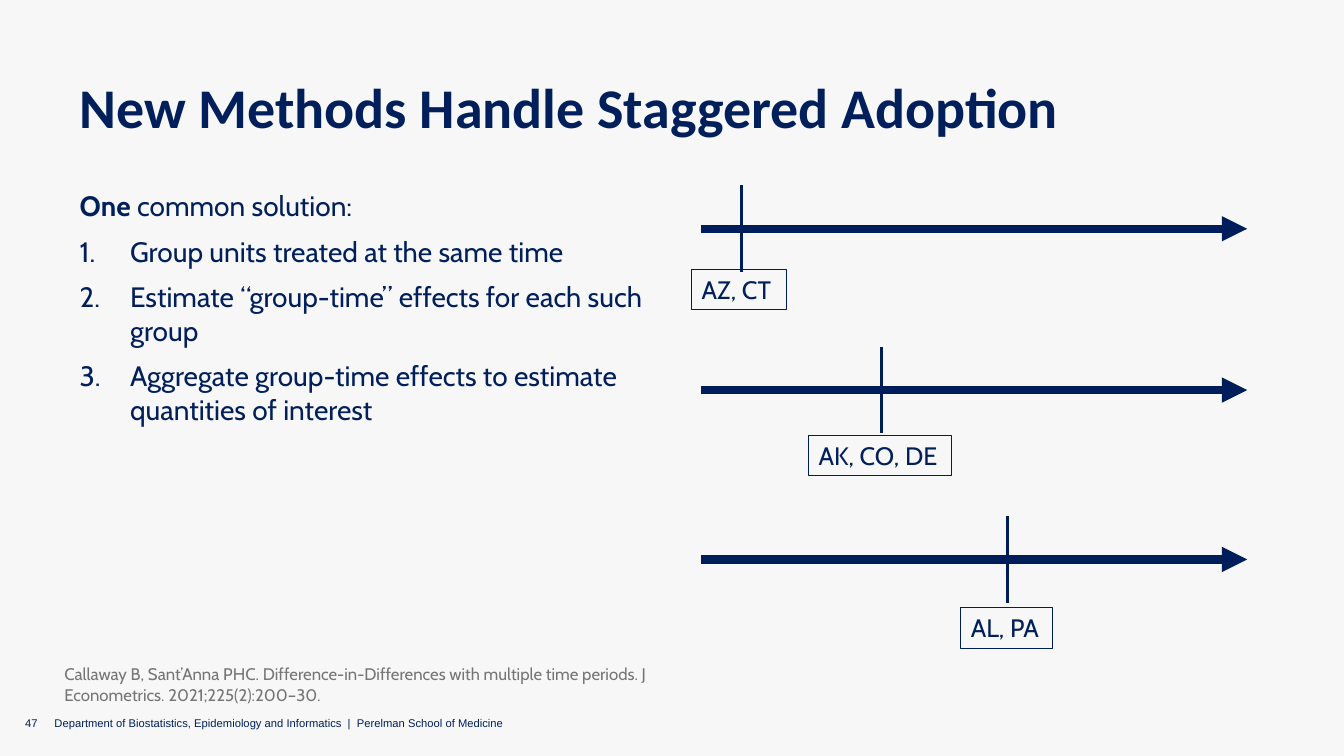
"""Build the slide on staggered adoption with three treatment timelines."""
from dataclasses import dataclass

from lxml.etree import SubElement
from pptx import Presentation
from pptx.dml.color import RGBColor
from pptx.enum.shapes import MSO_CONNECTOR, MSO_SHAPE
from pptx.enum.text import MSO_ANCHOR, MSO_AUTO_SIZE, PP_ALIGN
from pptx.oxml.ns import qn
from pptx.util import Inches, Pt

TITLE = "New Methods Handle Staggered Adoption"
LEAD = ("One", " common solution:")
STEPS = [
    "Group units treated at the same time",
    "Estimate “group-time” effects for each such group",
    "Aggregate group-time effects to estimate quantities of interest",
]
CITATION = (
    "Callaway B, Sant’Anna PHC. Difference-in-Differences with multiple time periods. "
    "J Econometrics. 2021;225(2):200–30."
)
PAGE_NUMBER = "47"
FOOTER = "Department of Biostatistics, Epidemiology and Informatics  |  Perelman School of Medicine"

# label, axis height, treatment time, label left, top and width
TIMELINES = [
    ("AZ, CT", 2.27, 7.35, 6.86, 2.67, 0.94),
    ("AK, CO, DE", 3.87, 8.74, 8.02, 4.32, 1.42),
    ("AL, PA", 5.55, 9.99, 9.53, 6.03, 0.91),
]
AXIS_START, AXIS_END = 6.95, 12.37
TICK_HALF = 0.43
LABEL_HEIGHT = 0.4


@dataclass(frozen=True)
class Theme:
    background: RGBColor = RGBColor.from_string("F7F7F7")
    navy: RGBColor = RGBColor.from_string("011F5B")
    line: RGBColor = RGBColor.from_string("001D5B")
    gray: RGBColor = RGBColor.from_string("757575")
    title_font: str = "Calibri"
    body_font: str = "Cabin"
    footer_font: str = "Arial"
    title_size: int = 40
    body_size: int = 20
    label_size: int = 18
    citation_size: int = 12
    footer_size: int = 8


THEME = Theme()


def style(paragraph, name, size, color=THEME.navy, bold=None):
    font = paragraph.font
    font.name, font.size, font.bold = name, Pt(size), bold
    font.color.rgb = color


def add_text(slide, box, text="", inset=True, anchor=MSO_ANCHOR.TOP):
    frame = slide.shapes.add_textbox(*map(Inches, box)).text_frame
    frame.word_wrap = True
    frame.vertical_anchor = anchor
    if not inset:
        frame.margin_left = frame.margin_right = frame.margin_top = frame.margin_bottom = 0
    frame.text = text
    return frame


def add_body(slide):
    frame = add_text(slide, (0.79, 1.87, 5.68, 4.84), inset=False)
    lead = frame.paragraphs[0]
    for text, bold in zip(LEAD, (True, False)):
        run = lead.add_run()
        run.text, run.font.bold = text, bold
    for step in STEPS:
        paragraph = frame.add_paragraph()
        paragraph.text = step
        paragraph.space_before = Pt(2.5)
        properties = paragraph._p.get_or_add_pPr()
        properties.set("marL", str(Inches(0.5)))
        properties.set("indent", str(Inches(-0.5)))
        SubElement(properties, qn("a:buFont"), typeface="+mj-lt")
        SubElement(properties, qn("a:buAutoNum"), type="arabicPeriod")
    for paragraph in frame.paragraphs:
        paragraph.space_after = Pt(6)
        style(paragraph, THEME.body_font, THEME.body_size)


def add_line(slide, start, end, width, arrow=False):
    points = map(Inches, (*start, *end))
    connector = slide.shapes.add_connector(MSO_CONNECTOR.STRAIGHT, *points)
    connector.line.color.rgb = THEME.line
    connector.line.width = Pt(width)
    if arrow:
        SubElement(connector.line._get_or_add_ln(), qn("a:tailEnd"), type="triangle")
    SubElement(connector._element.spPr, qn("a:effectLst"))


def add_timeline(slide, label, axis, time, left, top, width):
    add_line(slide, (AXIS_START, axis), (AXIS_END, axis), 6, arrow=True)
    add_line(slide, (time, axis - TICK_HALF), (time, axis + TICK_HALF), 2.25)
    box = map(Inches, (left, top, width, LABEL_HEIGHT))
    shape = slide.shapes.add_shape(MSO_SHAPE.RECTANGLE, *box)
    shape.shadow.inherit = False
    shape.fill.background()
    shape.line.color.rgb = THEME.line
    shape.line.width = Pt(0.75)
    frame = shape.text_frame
    frame.word_wrap = False
    frame.auto_size = MSO_AUTO_SIZE.SHAPE_TO_FIT_TEXT
    frame.vertical_anchor = MSO_ANCHOR.TOP
    frame.text = label
    frame.paragraphs[0].alignment = PP_ALIGN.LEFT
    style(frame.paragraphs[0], THEME.body_font, THEME.label_size)


def main():
    presentation = Presentation()
    presentation.slide_width, presentation.slide_height = Inches(13.33), Inches(7.5)
    slide = presentation.slides.add_slide(presentation.slide_layouts[6])
    slide.background.fill.solid()
    slide.background.fill.fore_color.rgb = THEME.background

    title = add_text(slide, (0.79, 0.79, 11.76, 0.99), TITLE, inset=False).paragraphs[0]
    title.line_spacing = 0.9
    style(title, THEME.title_font, THEME.title_size, bold=True)
    add_body(slide)
    for timeline in TIMELINES:
        add_timeline(slide, *timeline)
    citation = add_text(slide, (0.54, 6.54, 6.53, 0.5), CITATION)
    style(citation.paragraphs[0], THEME.body_font, THEME.citation_size, THEME.gray)
    for text, left, width in ((PAGE_NUMBER, 0.25, 0.29), (FOOTER, 0.54, 8.13)):
        frame = add_text(slide, (left, 7.04, width, 0.2), text, False, MSO_ANCHOR.BOTTOM)
        style(frame.paragraphs[0], THEME.footer_font, THEME.footer_size)
    presentation.save("out.pptx")


if __name__ == "__main__":
    main()
